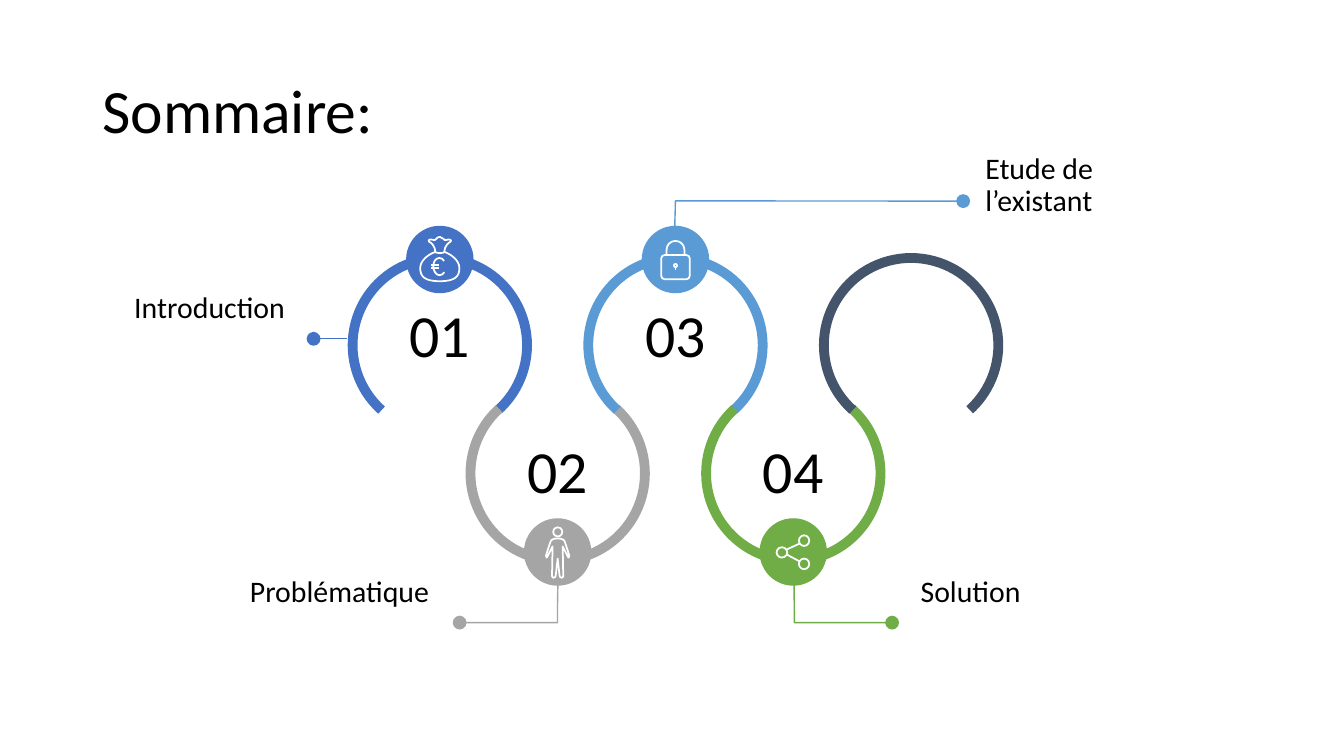
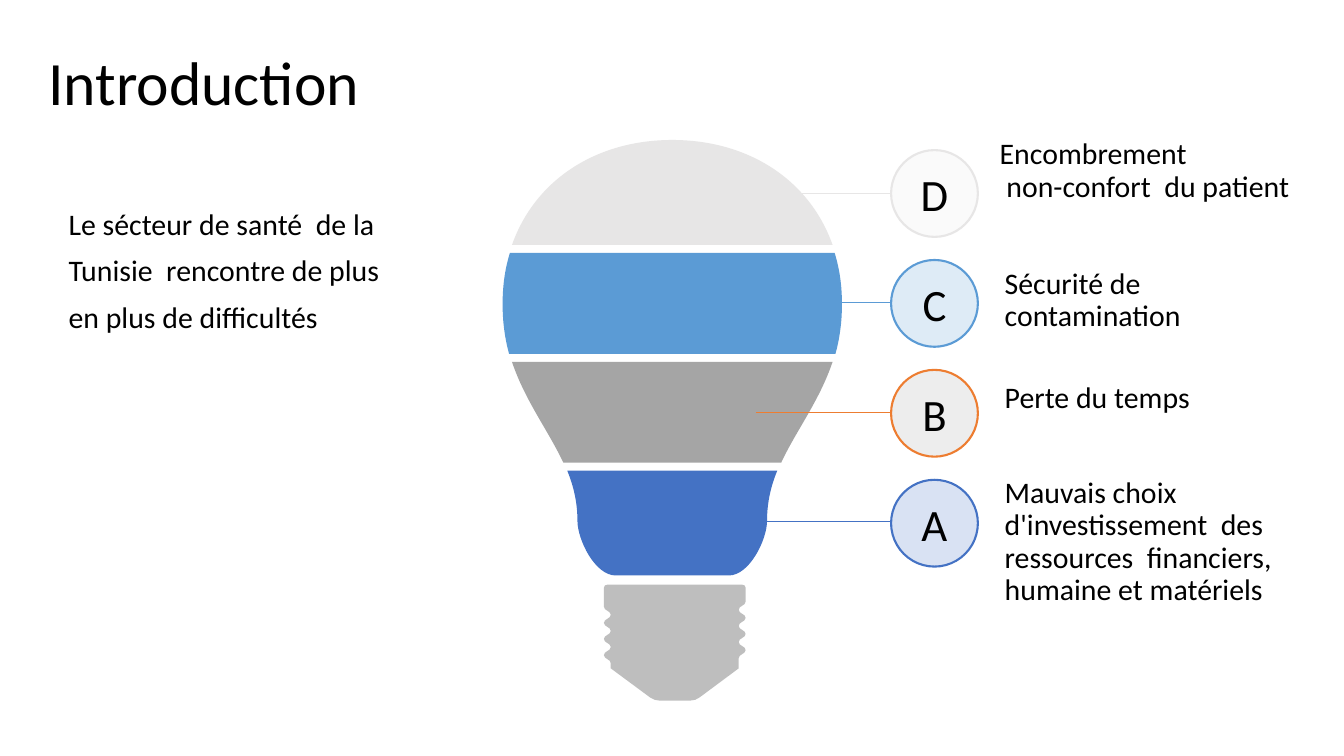
from lxml import etree
from pptx import Presentation
from pptx import util as u
from pptx.dml.color import RGBColor
from pptx.enum import shapes, text
from pptx.oxml.ns import qn

COLORS = {
    "black": "000000", "white": "FFFFFF", "blue": "4472C4", "sky": "5B9BD5",
    "gray": "A5A5A5", "green": "70AD47", "navy": "44546A", "pale": "E7E6E6",
    "orange": "ED7D31", "base": "7F7F7F",
}
FONT = "Calibri"
OVAL = shapes.MSO_SHAPE.OVAL
STRAIGHT = shapes.MSO_CONNECTOR.STRAIGHT
LEFT, CENTER, RIGHT = text.PP_ALIGN.LEFT, text.PP_ALIGN.CENTER, text.PP_ALIGN.RIGHT


def style(shape, fill=None, line=None, width=1, opacity=None, dot=False):
    if hasattr(shape, "fill"):
        shape.shadow.inherit = False
        if fill:
            shape.fill.solid()
            shape.fill.fore_color.rgb = RGBColor.from_string(COLORS[fill])
        else:
            shape.fill.background()
        if opacity:
            color = shape._element.spPr.find(qn("a:solidFill"))[0]
            etree.SubElement(color, qn("a:alpha"), val=str(opacity * 1000))
    else:
        etree.SubElement(shape._element.spPr, qn("a:effectLst"))
    if line:
        shape.line.color.rgb = RGBColor.from_string(COLORS[line])
        shape.line.width = u.Pt(width)
    else:
        shape.line.fill.background()
    if dot:
        outline = shape._element.spPr.find(qn("a:ln"))
        etree.SubElement(outline, qn("a:headEnd"), type="oval", w="lg", len="lg")


def draw_outline(canvas, steps, origin=(0, 0), mirror=False, closed=True):
    points = [step[i:i + 2] for step in steps for i in range(0, len(step), 2)]
    sizes = [len(step) // 2 for step in steps[1:]]
    if mirror:
        points += [(-x, y) for x, y in reversed(points[:-1])]
        sizes += sizes[::-1]
    placed = [(u.Pt(origin[0] + x), u.Pt(origin[1] + y)) for x, y in points]
    builder = canvas.shapes.build_freeform(*placed[0])
    builder.add_line_segments(placed[1:], close=closed)
    shape = builder.convert_to_shape()
    segments = iter(list(shape._element.iter(qn("a:lnTo"))))
    for size in sizes:
        first, *others = [next(segments) for _ in range(size)]
        if others:
            curve = etree.Element(qn("a:cubicBezTo"))
            first.addprevious(curve)
            for segment in [first, *others]:
                curve.append(segment[0])
                segment.getparent().remove(segment)
    return shape


presentation = Presentation()
presentation.slide_width = u.Pt(960)
presentation.slide_height = u.Pt(540)

slides = []
for title_text, left, top in [("Sommaire:", 66, 28.8), (" Introduction", 17.3, 8.6)]:
    slide = presentation.slides.add_slide(presentation.slide_layouts[5])
    title = slide.shapes.title
    title.left, title.top, title.width, title.height = map(u.Pt, (left, top, 828, 104.4))
    title.text_frame.text = title_text
    title.text_frame.vertical_anchor = text.MSO_ANCHOR.MIDDLE
    paragraph = title.text_frame.paragraphs[0]
    paragraph.alignment = LEFT
    paragraph.line_spacing = 0.9
    paragraph.font.name = FONT
    paragraph.font.size = u.Pt(44)
    paragraph.font.color.rgb = RGBColor.from_string(COLORS["black"])
    slides.append(slide)
summary, introduction = slides

ARC, BADGE = 124.6, 48.2
badges = []
labels = []
for i, color in enumerate(["blue", "gray", "sky", "green", "navy"]):
    lower = i % 2 == 1
    center = 314.2 + 84.15 * i
    arc = summary.shapes.add_shape(
        shapes.MSO_SHAPE.ARC, u.Pt(center - ARC / 2), u.Pt(275.8 if lower else 184.3),
        u.Pt(ARC), u.Pt(ARC))
    arc.adjustments[0] = 79.14
    arc.adjustments[1] = 28.68
    arc.rotation = 180 if lower else 0
    style(arc, line=color, width=7)
    if i < 4:
        badges.append((color, center, 394.3 if lower else 185.4))
        labels.append((summary, f"0{i + 1}", center - 43.9, 312.5 if lower else 215.3,
                       87.8, 54.7, CENTER, 42.67, 0.89))

icons = []
for color, center, middle in badges:
    group = summary.shapes.add_group_shape()
    badge = group.shapes.add_shape(
        OVAL, u.Pt(center - BADGE / 2), u.Pt(middle - BADGE / 2), u.Pt(BADGE), u.Pt(BADGE))
    style(badge, fill=color)
    icons.append((group, center, middle))
money, person, lock, share = icons

bag = [(0, -16.2), (1.1, -16.2, 1.8, -15.5, 2.5, -14.8), (3.2, -14, 4, -13.3, 4.7, -14),
       (6.8, -14.8, 9, -14, 7.6, -12.6), (6.8, -12.6, 3.2, -9.7, 3.2, -5.4),
       (7.6, -4, 14, 0.4, 14, 6.1), (14, 11.9, 11.2, 15.5, 0, 15.5)]
neck = [(3.2, -5.4), (3.2, -5.4, 3.2, -4.7, 0, -4.7)]
euro = [(3, 1.1), (2.5, -0.4, 1.1, -1.1, -0.4, -1.1), (-2.5, -1.1, -4.7, 1.1, -4.7, 4.7),
        (-4.7, 8.3, -2.5, 11.2, -0.4, 11.2), (1.1, 11.2, 2.5, 10.4, 3.2, 9)]
body = [(0, -9.7), (2.5, -9.7, 4, -9, 4.7, -8.3), (5.4, -6.8, 8.3, 2.5, 8.3, 2.5),
        (8.3, 3.2, 8.3, 3.2, 7.9, 4), (7.6, 4, 7.2, 4, 7.2, 3.2), (3.6, -4), (4, 17),
        (4, 17.6, 3.6, 18.4, 2.9, 18.4), (2, 18.4, 1.4, 17.6, 1.4, 17), (0, 4.7)]
shackle = [(6.4, -3.2), (6.4, -6.8), (6.4, -10.4, 3.6, -13.3, 0, -13.3)]
case = [(0, -3.2), (7.9, -3.2), (9, -3.2, 10.1, -2.2, 10.1, -1.1), (10.1, 11.9),
        (10.1, 13, 9, 14, 7.9, 14), (0, 14)]
for (group, x, y), steps, mirror, closed in [
    (money, bag, True, True), (money, neck, True, False), (money, euro, False, False),
    (person, body, True, True), (lock, case, True, True), (lock, shackle, True, False),
]:
    style(draw_outline(group, steps, (x, y), mirror, closed), line="white", width=1.25)

for (group, x, y), left, top, width, height in [
    (person, -3.2, -17.6, 6.5, 6.5), (lock, -1.1, 3.2, 2.2, 2.2),
    (share, -11.9, -3.4, 7.6, 7.4), (share, 4, 4.7, 7.4, 7.6), (share, 4, -11.9, 7.4, 7.6),
]:
    ring = group.shapes.add_shape(
        OVAL, u.Pt(x + left), u.Pt(y + top), u.Pt(width), u.Pt(height))
    style(ring, line="white", width=1.25)

for (group, x, y), x1, y1, x2, y2 in [
    (money, -6.1, 4, -0.4, 4), (money, -6.1, 6.1, -0.4, 6.1), (lock, 0, 5.4, 0, 7.6),
    (share, -4.7, 1.8, 4.7, 6.8), (share, 4.7, -6.1, -4.7, -1.8),
]:
    stroke = group.shapes.add_connector(
        STRAIGHT, u.Pt(x + x1), u.Pt(y + y1), u.Pt(x + x2), u.Pt(y + y2))
    style(stroke, line="white", width=1.25)

leader = summary.shapes.add_connector(STRAIGHT, u.Pt(224), u.Pt(242), u.Pt(247.7), u.Pt(242))
style(leader, line="blue", dot=True)
for color, steps in [
    ("green", [(637.2, 444.7), (567.4, 444.7), (567.4, 435.7, 567.2, 426.7, 567.2, 417.7)]),
    ("gray", [(328.3, 444.7), (398.2, 444.7), (398.2, 435.7, 398.2, 426.7, 398.5, 417.7)]),
    ("sky", [(688, 143.7), (482.4, 143.5), (482.4, 150.1, 482, 156.8, 482, 163.4)]),
]:
    style(draw_outline(summary, steps, closed=False), line=color, dot=True)

teeth = []
for side, x, y, inward, rise in [(1, 532.6, 429.8, -4.9, 5.76), (-1, 436.3, 473.7, -4.9, -5.76)]:
    curves = []
    for i in range(7):
        next_x = x + (inward if i % 2 == 0 else -inward)
        curves.append((x, y + rise / 2, next_x, y + rise / 2, next_x, y + rise))
        x, y = next_x, y + rise
    teeth.append(curves)
base = [(434, 417.6), (530, 417.6), (531.4, 417.6, 532.6, 418.3, 532.6, 419.8),
        (532.6, 429.8), *teeth[0], (527.7, 477.4), (499.7, 498.2),
        (498, 499.7, 495.4, 500.4, 493.2, 500.4), (471, 500.4),
        (468.7, 500.4, 466.6, 499.7, 464.4, 498.2), (436.3, 477.4), (436.3, 473.7),
        *teeth[1], (431.4, 419.8), (431.4, 418.3, 432.5, 417.6, 434, 417.6)]
style(draw_outline(introduction, base), fill="base", opacity=50)

for color, half in [
    ("pale", [(0, 175), (114.5, 175), (98, 128.2, 54, 100, 0, 100)]),
    ("sky", [(0, 180.7), (116, 180.7), (119.5, 192.2, 121.2, 203.8, 121.2, 217.4),
             (121.2, 230.4, 119.5, 242, 116.6, 252.7), (0, 252.7)]),
    ("gray", [(0, 258.5), (114.5, 258.5), (105, 286.6, 88.6, 307.4, 77.8, 330.5), (0, 330.5)]),
    ("blue", [(0, 336.2), (75, 336.2), (70.6, 347, 67.7, 358.6, 67.7, 372.2),
              (67.7, 385.2, 55.4, 411.1, 40.3, 411.1), (0, 411.1)]),
]:
    style(draw_outline(introduction, half, (480.2, 0), mirror=True), fill=color)

CIRCLE = 62
for i, (letter, fill, line, start) in enumerate([
    ("D", "pale", "pale", 540), ("C", "sky", "sky", 570.2),
    ("B", "gray", "orange", 540), ("A", "blue", "blue", 516.2),
]):
    middle = 138.3 + 78 * i
    link = introduction.shapes.add_connector(
        STRAIGHT, u.Pt(start), u.Pt(middle), u.Pt(636.5), u.Pt(middle))
    style(link, line=line, width=0.5)
    circle = introduction.shapes.add_shape(
        OVAL, u.Pt(636.5), u.Pt(107.2 + 78.5 * i), u.Pt(CIRCLE), u.Pt(CIRCLE))
    style(circle, fill=fill, line=line, width=1.5, opacity=20)
    frame = circle.text_frame
    frame.word_wrap = False
    frame.vertical_anchor = text.MSO_ANCHOR.MIDDLE
    frame.text = letter
    paragraph = frame.paragraphs[0]
    paragraph.alignment = CENTER
    paragraph.font.name = FONT
    paragraph.font.size = u.Pt(32)
    paragraph.font.color.rgb = RGBColor.from_string(COLORS["black"])

labels += [
    (summary, "Introduction", 37.4, 205.7, 175.7, 31.7, RIGHT, 21.33, 0.89),
    (summary, "Problématique", 140.4, 408.5, 175.7, 31.7, RIGHT, 21.33, 0.89),
    (summary, "Etude de l’existant", 694.4, 106.2, 175.7, 54.7, LEFT, 21.33, 0.89),
    (summary, "Solution", 648.2, 408.5, 175.7, 31.7, LEFT, 21.33, 0.89),
    (introduction, "Le sécteur de santé  de la Tunisie  rencontre de plus en plus de difficultés",
     41.9, 135.5, 252, 108, LEFT, 21.33, 1.3),
    (introduction, "Encombrement\n non-confort  du patient",
     707, 95.8, 248.4, 77, LEFT, 21.33, 0.9),
    (introduction, "Sécurité de contamination", 710.6, 188.2, 206.6, 54, LEFT, 21.33, 0.9),
    (introduction, "Perte du temps", 710.6, 270, 206.6, 30.2, LEFT, 21.33, 0.9),
    (introduction,
     "Mauvais choix d'investissement  des ressources  financiers, humaine et matériels",
     710.6, 337.8, 223.2, 100, LEFT, 21.33, 0.9),
]
for slide, content, left, top, width, height, alignment, size, spacing in labels:
    box = slide.shapes.add_textbox(u.Pt(left), u.Pt(top), u.Pt(width), u.Pt(height))
    frame = box.text_frame
    frame.word_wrap = True
    frame.auto_size = text.MSO_AUTO_SIZE.SHAPE_TO_FIT_TEXT
    if slide is summary:
        frame.margin_left = frame.margin_right = u.Pt(9.4)
        frame.margin_bottom = u.Pt(5)
    frame.text = content
    for paragraph in frame.paragraphs:
        paragraph.alignment = alignment
        paragraph.line_spacing = spacing
        paragraph.font.name = FONT
        paragraph.font.size = u.Pt(size)
        paragraph.font.color.rgb = RGBColor.from_string(COLORS["black"])

presentation.save("out.pptx")
